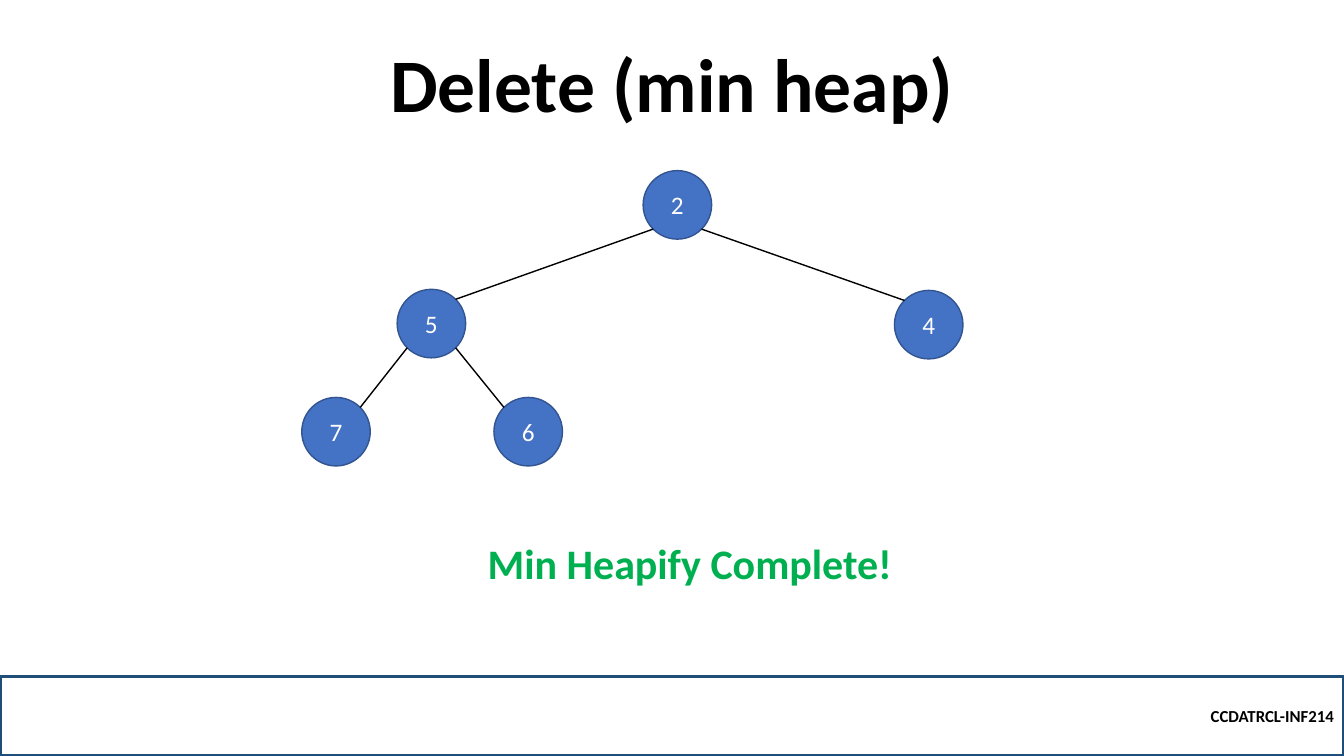
from math import sqrt

from lxml.etree import SubElement
from pptx import Presentation
from pptx.dml.color import RGBColor
from pptx.enum.shapes import MSO_CONNECTOR as Connector, MSO_SHAPE as Shape
from pptx.enum.text import MSO_ANCHOR as Anchor, MSO_AUTO_SIZE as AutoSize, PP_ALIGN as Align
from pptx.oxml.ns import qn
from pptx.util import Inches, Pt

WIDTH, HEIGHT = Inches(13.333), Inches(7.5)
COLORS = {
    "text": "000000",
    "node": "4472C4",
    "node_line": "325491",
    "node_text": "FFFFFF",
    "footer_line": "1F4E79",
    "success": "00B050",
}
DIAMETER = 5.1  # percent of the slide's width

# Heap order: value, then centre as percent of width and height
HEAP = [
    ("2", 50.4, 27.1),
    ("5", 32.1, 42.8),
    ("4", 69.1, 42.95),
    ("7", 25, 57.1),
    ("6", 39.3, 57.1),
]


def color(name):
    return RGBColor.from_string(COLORS[name])


def across(percent):
    return round(WIDTH * percent / 100)


def down(percent):
    return round(HEIGHT * percent / 100)


def area(left, top, width, height):
    return across(left), down(top), across(width), down(height)


def write(holder, text, size, ink, align, anchor=Anchor.MIDDLE, bold=False):
    frame = holder.text_frame
    frame.word_wrap = True
    frame.vertical_anchor = anchor
    paragraph = frame.paragraphs[0]
    paragraph.text = text
    paragraph.alignment = align
    font = paragraph.font
    font.name, font.size, font.bold = "Calibri", Pt(size), bold
    font.color.rgb = color(ink)
    return paragraph


def add_title(slide, text):
    title = slide.shapes.add_textbox(*area(12.5, 7.2, 75, 10.5))
    write(title, text, 54, "text", Align.CENTER, Anchor.BOTTOM, True).line_spacing = 0.9


def add_footer(slide, text):
    footer = slide.shapes.add_shape(Shape.RECTANGLE, *area(0, 89.5, 100, 10.5))
    footer.shadow.inherit = False
    footer.fill.background()
    footer.line.color.rgb = color("footer_line")
    footer.line.width = Pt(2.25)
    write(footer, text, 12, "text", Align.RIGHT, bold=True)


def add_message(slide, text):
    message = slide.shapes.add_textbox(*area(35.55, 70.4, 33.2, 8.1))
    write(message, text, 30, "success", Align.LEFT, Anchor.TOP, True)
    message.text_frame.auto_size = AutoSize.SHAPE_TO_FIT_TEXT


def add_node(slide, value, x, y):
    size = across(DIAMETER)
    node = slide.shapes.add_shape(
        Shape.OVAL, across(x) - size // 2, down(y) - size // 2, size, size)
    node.shadow.inherit = False
    node.fill.solid()
    node.fill.fore_color.rgb = color("node")
    node.line.color.rgb = color("node_line")
    node.line.width = Pt(1)
    write(node, value, 18, "node_text", Align.CENTER)


def add_edge(slide, parent, child):
    """Join the diagonal points of two circles that face each other."""
    (_, parent_x, parent_y), (_, child_x, child_y) = parent, child
    reach = round(across(DIAMETER) / 2 / sqrt(2))
    side = reach if child_x > parent_x else -reach
    edge = slide.shapes.add_connector(
        Connector.STRAIGHT,
        across(parent_x) + side, down(parent_y) + reach,
        across(child_x) - side, down(child_y) - reach)
    edge.line.color.rgb = color("text")
    edge.line.width = Pt(1)
    SubElement(edge._element.spPr, qn("a:effectLst"))


def main():
    deck = Presentation()
    deck.slide_width, deck.slide_height = WIDTH, HEIGHT
    slide = deck.slides.add_slide(deck.slide_layouts[6])

    add_title(slide, "Delete (min heap)")
    add_footer(slide, "CCDATRCL-INF214")
    for node in HEAP:
        add_node(slide, *node)
    for index, child in enumerate(HEAP[1:], start=1):
        add_edge(slide, HEAP[(index - 1) // 2], child)
    add_message(slide, "Min Heapify Complete!")

    deck.save("out.pptx")


if __name__ == "__main__":
    main()
